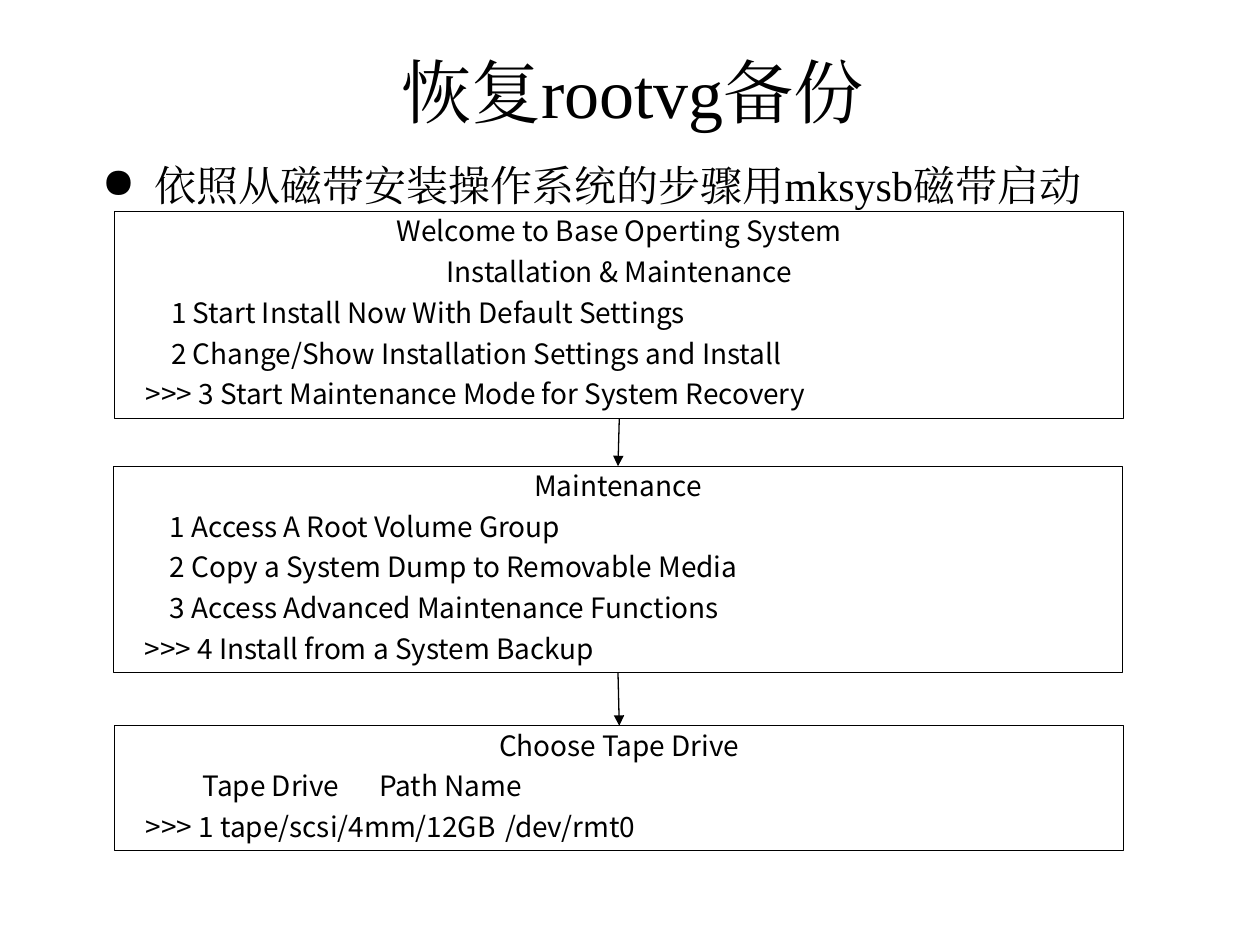
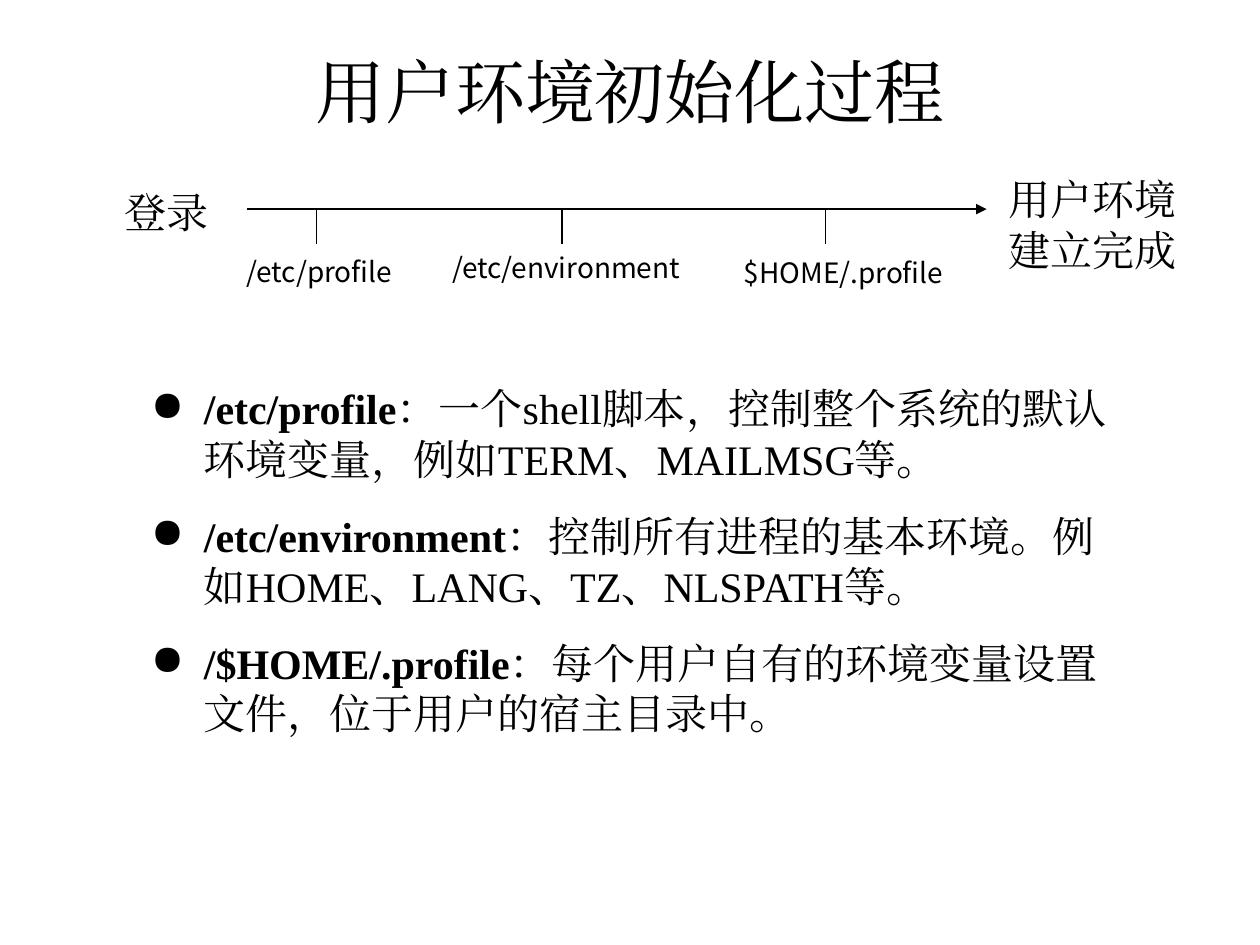
from lxml.etree import SubElement
from pptx import Presentation
from pptx.dml.color import RGBColor
from pptx.enum.shapes import MSO_CONNECTOR, MSO_SHAPE
from pptx.enum.text import MSO_ANCHOR, MSO_AUTO_SIZE, PP_ALIGN
from pptx.oxml.ns import qn
from pptx.util import Inches, Pt

COLORS = {"ink": "000000", "paper": "FFFFFF"}
BODY_FONT = "Times New Roman"
SCREEN_FONT = "Noto Sans CJK SC"
TITLE_SIZE, BODY_SIZE, SCREEN_SIZE = 40, 24, 16
BODY_LINE = Pt(28.8)
BODY_GAP, SCREEN_GAP = 15, 6
BULLET_INDENT = 0.42
OPTION_INDENT, CHOSEN_INDENT, HEADING_INDENT = 0.35, 0.15, 0.6
PATH_TAB = 4


def color(name):
    return RGBColor.from_string(COLORS[name])


def add_run(para, text, size, font=BODY_FONT, bold=False):
    span = para.add_run()
    span.text = text
    span.font.size = Pt(size)
    span.font.name = font
    span.font.bold = bold
    span.font.color.rgb = color("ink")
    east_asian = SubElement(span.font._element, qn("a:ea"))
    east_asian.set("typeface", font)


def next_para(frame, gap):
    """Return the empty first paragraph, or a new one set off by gap points."""
    if not frame.paragraphs[0].runs:
        return frame.paragraphs[0]
    para = frame.add_paragraph()
    para.space_before = Pt(gap)
    return para


def prepare_frame(frame, anchor=MSO_ANCHOR.TOP):
    frame.word_wrap = True
    frame.auto_size = MSO_AUTO_SIZE.NONE
    frame.vertical_anchor = anchor
    frame.margin_left = frame.margin_right = Inches(0.1)
    frame.margin_top = frame.margin_bottom = Inches(0.05)


def add_titled_page(deck, text, left, top, width, height):
    page = deck.slides.add_slide(deck.slide_layouts[5])
    page.background.fill.solid()
    page.background.fill.fore_color.rgb = color("paper")
    title = page.shapes.title
    title.left, title.top = Inches(left), Inches(top)
    title.width, title.height = Inches(width), Inches(height)
    prepare_frame(title.text_frame, MSO_ANCHOR.MIDDLE)
    para = title.text_frame.paragraphs[0]
    para.alignment = PP_ALIGN.CENTER
    add_run(para, text, TITLE_SIZE)
    return page


def add_text_box(page, left, top, width, height):
    box = page.shapes.add_textbox(Inches(left), Inches(top), Inches(width), Inches(height))
    prepare_frame(box.text_frame)
    return box.text_frame


def add_label(page, text, place, size=BODY_SIZE, font=BODY_FONT, line_spacing=BODY_LINE):
    para = add_text_box(page, *place).paragraphs[0]
    para.alignment = PP_ALIGN.CENTER
    para.line_spacing = line_spacing
    add_run(para, text, size, font)


def add_bullets(page, items, place):
    """Each item is a bold term, which may be empty, and its text."""
    frame = add_text_box(page, *place)
    for term, text in items:
        para = next_para(frame, BODY_GAP)
        para.line_spacing = BODY_LINE
        props = para._p.get_or_add_pPr()
        props.set("marL", str(Inches(BULLET_INDENT)))
        props.set("indent", str(-Inches(BULLET_INDENT)))
        SubElement(props, qn("a:buChar")).set("char", "●")
        if term:
            add_run(para, term, BODY_SIZE, bold=True)
        add_run(para, text, BODY_SIZE)


def add_menu_screen(page, headings, rows, left, top, height):
    """Draw a framed menu: centred headings, then (indent, text) rows."""
    box = page.shapes.add_shape(MSO_SHAPE.RECTANGLE, Inches(left), Inches(top),
                                Inches(8.01), Inches(height))
    box.shadow.inherit = False
    box.fill.background()
    box.line.color.rgb = color("ink")
    box.line.width = Pt(0.75)
    frame = box.text_frame
    prepare_frame(frame)
    for indent, text in [(None, heading) for heading in headings] + rows:
        para = next_para(frame, SCREEN_GAP)
        para.line_spacing = 0.9
        para.alignment = PP_ALIGN.CENTER if indent is None else PP_ALIGN.LEFT
        if indent is not None:
            props = para._p.get_or_add_pPr()
            props.set("indent", str(Inches(indent)))
            if "\t" in text:
                stops = SubElement(props, qn("a:tabLst"))
                stop = SubElement(stops, qn("a:tab"))
                stop.set("pos", str(Inches(PATH_TAB)))
                stop.set("algn", "l")
        add_run(para, text, SCREEN_SIZE, SCREEN_FONT)
    return box


def add_line(page, start=(0, 0), end=(0, 0), arrow=False):
    line = page.shapes.add_connector(MSO_CONNECTOR.STRAIGHT, *map(Inches, start + end))
    line.line.color.rgb = color("ink")
    line.line.width = Pt(0.75)
    if arrow:
        SubElement(line.line._get_or_add_ln(), qn("a:tailEnd")).set("type", "triangle")
    SubElement(line._element.spPr, qn("a:effectLst"))
    return line


def build_restore_page(deck):
    page = add_titled_page(deck, "恢复rootvg备份", 0.77, 0.38, 8.5, 0.67)
    add_bullets(page, [("", "依照从磁带安装操作系统的步骤用mksysb磁带启动")],
                (0.71, 1.22, 8.56, 0.5))
    welcome = add_menu_screen(
        page, ["Welcome to Base Operting System", "Installation & Maintenance"],
        [(OPTION_INDENT, "1 Start Install Now With Default Settings"),
         (OPTION_INDENT, "2 Change/Show Installation Settings and Install"),
         (CHOSEN_INDENT, ">>> 3 Start Maintenance Mode for System Recovery")],
        0.91, 1.68, 1.64)
    maintenance = add_menu_screen(
        page, ["Maintenance"],
        [(OPTION_INDENT, "1 Access A Root Volume Group"),
         (OPTION_INDENT, "2 Copy a System Dump to Removable Media"),
         (OPTION_INDENT, "3 Access Advanced Maintenance Functions"),
         (CHOSEN_INDENT, ">>> 4 Install from a System Backup")],
        0.9, 3.7, 1.64)
    tape_drive = add_menu_screen(
        page, ["Choose Tape Drive"],
        [(HEADING_INDENT, "Tape Drive\tPath Name"),
         (CHOSEN_INDENT, ">>> 1 tape/scsi/4mm/12GB\t/dev/rmt0")],
        0.91, 5.76, 0.99)
    for upper, lower in [(welcome, maintenance), (maintenance, tape_drive)]:
        arrow = add_line(page, arrow=True)
        arrow.begin_connect(upper, 2)
        arrow.end_connect(lower, 0)


def build_environment_page(deck):
    page = add_titled_page(deck, "用户环境初始化过程", 0.75, 0.34, 8.5, 0.75)
    axis_y = 1.66
    add_label(page, "登录", (0.84, 1.43, 0.96, 0.5))
    add_line(page, (1.96, axis_y), (7.83, axis_y), arrow=True)
    add_label(page, "用户环境建立完成", (7.83, 1.33, 1.68, 0.9))
    steps = [("/etc/profile", 2.51, (1.74, 2, 1.59, 0.36)),
             ("/etc/environment", 4.46, (3.39, 1.97, 2.21, 0.35)),
             ("$HOME/.profile", 6.55, (5.59, 2.01, 2.21, 0.35))]
    for name, tick_x, place in steps:
        add_line(page, (tick_x, axis_y), (tick_x, axis_y + 0.28))
        add_label(page, name, place, SCREEN_SIZE, SCREEN_FONT, 0.9)
    add_bullets(page, [
        ("/etc/profile", "：一个shell脚本，控制整个系统的默认环境变量，例如TERM、MAILMSG等。"),
        ("/etc/environment", "：控制所有进程的基本环境。例如HOME、LANG、TZ、NLSPATH等。"),
        ("/$HOME/.profile", "：每个用户自有的环境变量设置文件，位于用户的宿主目录中。"),
    ], (1.1, 2.99, 7.87, 2.92))


def main():
    deck = Presentation()
    deck.slide_width, deck.slide_height = Inches(10), Inches(7.5)
    build_restore_page(deck)
    build_environment_page(deck)
    deck.save("out.pptx")


if __name__ == "__main__":
    main()
